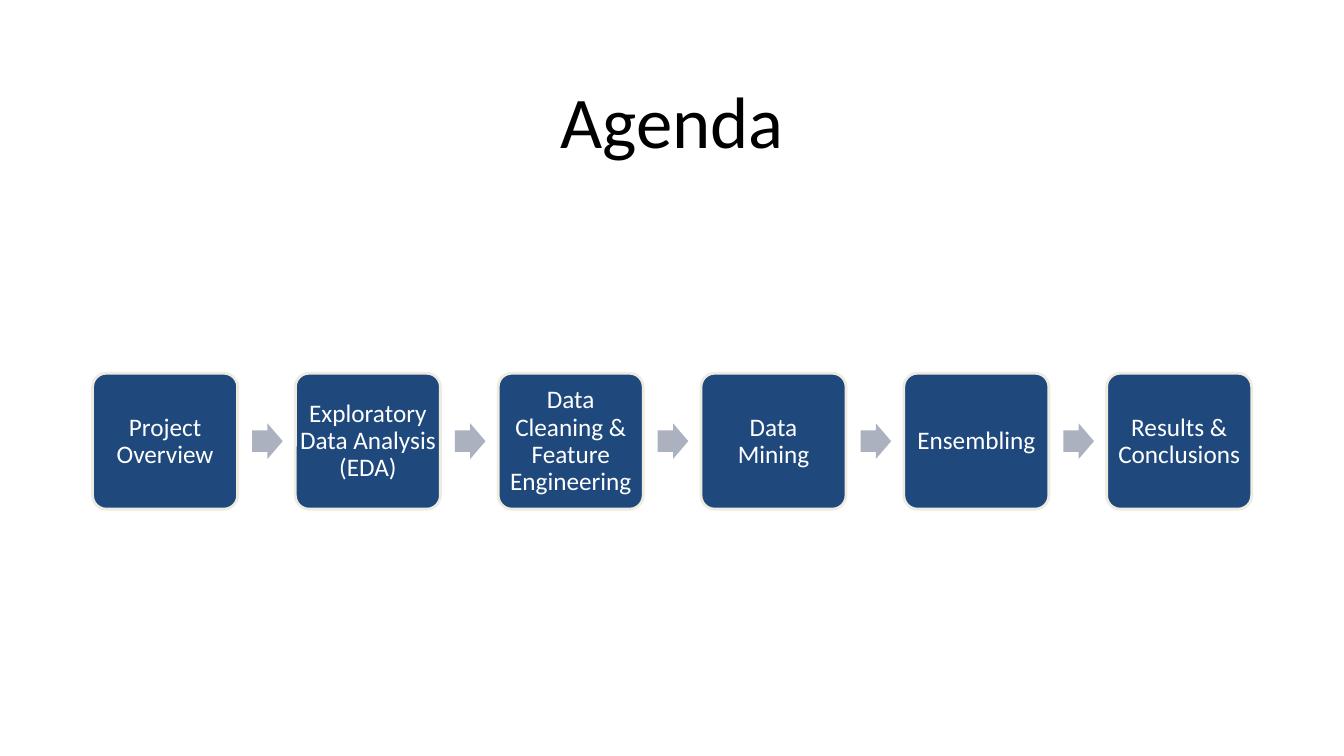
import pptx
import pptx.util
import pptx.dml.color
import pptx.enum.shapes
import pptx.enum.text

Pt = pptx.util.Pt
SHAPES = pptx.enum.shapes.MSO_SHAPE

TITLE = "Agenda"
STEPS = [
    "Project Overview",
    "Exploratory Data Analysis (EDA)",
    "Data Cleaning & Feature Engineering",
    "Data\nMining",
    "Ensembling",
    "Results & Conclusions",
]

SLIDE_WIDTH, SLIDE_HEIGHT = 1440, 810
TITLE_BOX = (99.3, 56, 1242, 143.3)
CARD_WIDTH, CARD_HEIGHT = 155.4, 145.6
ARROW_WIDTH, ARROW_HEIGHT = 32.8, 38.2
FIRST_LEFT, PITCH = 99.2, 217.3
MIDDLE = 472.7
ARROW_OFFSET = 170.9

NAVY, CREAM, GREY = "1F497D", "EEECE1", "ABB1BF"
WHITE, BLACK = "FFFFFF", "000000"


def color(value):
    return pptx.dml.color.RGBColor.from_string(value)


def write(shape, text, size, ink, spacing, font="Calibri"):
    """Fill a shape with centred text, one paragraph per line of the string."""
    frame = shape.text_frame
    frame.word_wrap = True
    frame.auto_size = pptx.enum.text.MSO_AUTO_SIZE.NONE
    frame.vertical_anchor = pptx.enum.text.MSO_ANCHOR.MIDDLE
    frame.margin_left = frame.margin_right = 0
    frame.margin_top = frame.margin_bottom = 0
    frame.text = text
    for para in frame.paragraphs:
        para.alignment = pptx.enum.text.PP_ALIGN.CENTER
        para.line_spacing = Pt(spacing)
        para.space_before = Pt(0)
        for span in para.runs:
            span.font.name = font
            span.font.size = Pt(size)
            span.font.color.rgb = color(ink)


def add_centred(page, kind, left, width, height, fill, adjustments):
    """Add a filled shape whose vertical centre is on the process line."""
    shape = page.shapes.add_shape(
        kind, Pt(left), Pt(MIDDLE - height / 2), Pt(width), Pt(height))
    shape.shadow.inherit = False
    shape.fill.solid()
    shape.fill.fore_color.rgb = color(fill)
    shape.line.fill.background()
    for index, value in enumerate(adjustments):
        shape.adjustments[index] = value
    return shape


def main():
    deck = pptx.Presentation()
    deck.slide_width, deck.slide_height = Pt(SLIDE_WIDTH), Pt(SLIDE_HEIGHT)
    page = deck.slides.add_slide(deck.slide_layouts.get_by_name("Title Only"))

    title = page.shapes.title
    title.left, title.top, title.width, title.height = map(Pt, TITLE_BOX)
    write(title, TITLE, size=78, ink=BLACK, spacing=93.6)

    for index, step in enumerate(STEPS):
        left = FIRST_LEFT + index * PITCH
        card = add_centred(page, SHAPES.ROUNDED_RECTANGLE, left,
                           CARD_WIDTH, CARD_HEIGHT, NAVY, [0.1])
        card.line.color.rgb = color(CREAM)
        card.line.width = Pt(3)
        write(card, step, size=27, ink=WHITE, spacing=29.2)
        if index < len(STEPS) - 1:
            add_centred(page, SHAPES.RIGHT_ARROW, left + ARROW_OFFSET,
                        ARROW_WIDTH, ARROW_HEIGHT, GREY, [0.6, 0.5])

    deck.save("out.pptx")


if __name__ == "__main__":
    main()
